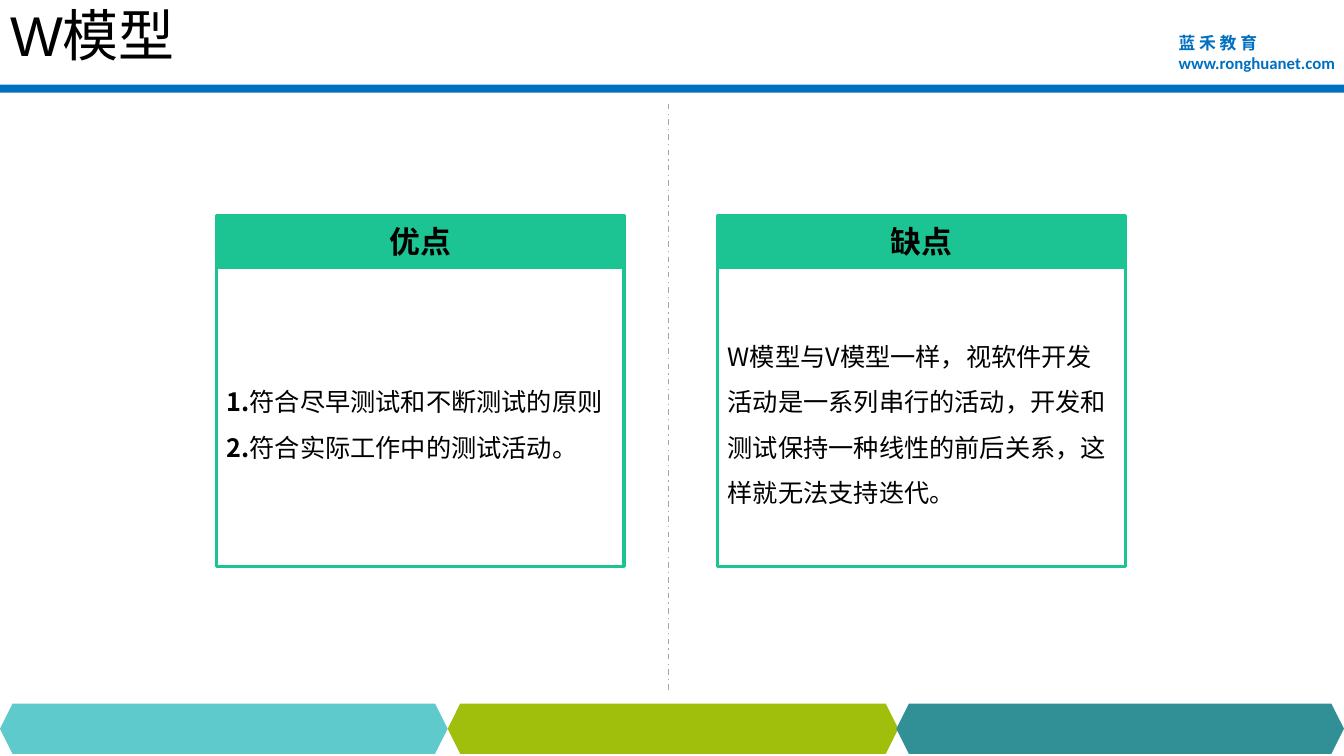
from pptx import Presentation
from pptx.dml.color import RGBColor
from pptx.enum.dml import MSO_LINE
from pptx.enum.shapes import MSO_CONNECTOR, MSO_SHAPE
from pptx.enum.text import MSO_ANCHOR, MSO_AUTO_SIZE, PP_ALIGN
from pptx.oxml.ns import qn
from pptx.util import Inches, Pt
from lxml.etree import SubElement


def colour(value):
    return RGBColor.from_string(value)


class SlideBuilder:
    cjk = "Noto Sans CJK SC"
    black = "000000"
    blue = "0070C0"
    green = "1CC493"

    def __init__(self, deck):
        self.page = deck.slides.add_slide(deck.slide_layouts[5])

    def span(self, para, text, size, bold=False, font=cjk, ink=black):
        span = para.add_run()
        span.text = text
        span.font.size = Pt(size)
        span.font.bold = bold
        span.font.name = font
        span.font.color.rgb = colour(ink)
        east_asian = SubElement(span.font._element, qn("a:ea"))
        east_asian.set("typeface", self.cjk)

    def fill_text(self, box, paragraphs, size, align=PP_ALIGN.LEFT, spacing=1.0, **style):
        frame = box.text_frame
        frame.word_wrap = True
        frame.vertical_anchor = MSO_ANCHOR.MIDDLE
        for index, spans in enumerate(paragraphs):
            para = frame.add_paragraph() if index else frame.paragraphs[0]
            para.alignment = align
            para.line_spacing = spacing
            for text, bold in spans:
                self.span(para, text, size, bold, **style)

    def title(self, text):
        box = self.page.shapes.title
        box.left, box.top = Inches(0), Inches(-0.01)
        box.width, box.height = Inches(10), Inches(0.7)
        box.text_frame.auto_size = MSO_AUTO_SIZE.NONE
        self.fill_text(box, [[(text, False)]], 40, font="Arial")

    def shape(self, kind, left, top, width, height, fill=None, line=None):
        box = self.page.shapes.add_shape(
            kind, Inches(left), Inches(top), Inches(width), Inches(height))
        box.shadow.inherit = False
        if fill:
            box.fill.solid()
            box.fill.fore_color.rgb = colour(fill)
        else:
            box.fill.background()
        if line:
            box.line.color.rgb = colour(line)
            box.line.width = Pt(2.25)
        else:
            box.line.fill.background()
        return box

    def contact(self, name, address):
        box = self.page.shapes.add_textbox(
            Inches(11.59), Inches(0.27), Inches(1.82), Inches(0.5))
        self.fill_text(box, [[(name, True)]], 12, ink=self.blue)
        para = box.text_frame.add_paragraph()
        self.span(para, address, 12, True, "Calibri", self.blue)

    def divider(self, x, top, bottom):
        line = self.page.shapes.add_connector(
            MSO_CONNECTOR.STRAIGHT, Inches(x), Inches(top), Inches(x), Inches(bottom))
        line.line.color.rgb = colour("A6A6A6")
        line.line.width = Pt(1)
        line.line.dash_style = MSO_LINE.DASH_DOT
        SubElement(line._element.spPr, qn("a:effectLst"))

    def card(self, left, heading, paragraphs):
        body = self.shape(MSO_SHAPE.RECTANGLE, left, 2.65, 4.04, 2.97, line=self.green)
        self.fill_text(body, paragraphs, 18, spacing=1.5)
        header = self.shape(
            MSO_SHAPE.RECTANGLE, left, 2.14, 4.04, 0.51, self.green, self.green)
        self.fill_text(header, [[(heading, True)]], 22, PP_ALIGN.CENTER)


def main():
    deck = Presentation()
    deck.slide_width, deck.slide_height = Inches(13.33), Inches(7.5)
    slide = SlideBuilder(deck)

    slide.shape(MSO_SHAPE.RECTANGLE, 0, 0.84, 13.33, 0.08, slide.blue)
    slide.contact("蓝 禾 教 育", "www.ronghuanet.com")
    for left, width, fill in [
        (0, 4.44, "5FCACB"),
        (4.44, 4.47, "A0BF0D"),
        (8.89, 4.44, "319095"),
    ]:
        slide.shape(MSO_SHAPE.HEXAGON, left, 6.98, width, 0.5, fill)

    slide.title("W模型")
    slide.divider(6.63, 1.03, 6.86)
    slide.card(2.15, "优点", [
        [("1.", True), ("符合尽早测试和不断测试的原则", False)],
        [("2.", True), ("符合实际工作中的测试活动。", False)],
    ])
    slide.card(7.12, "缺点", [
        [("W模型与V模型一样，视软件开发活动是一系列串行的活动，"
          "开发和测试保持一种线性的前后关系，这样就无法支持迭代。", False)],
    ])
    deck.save("out.pptx")


if __name__ == "__main__":
    main()
